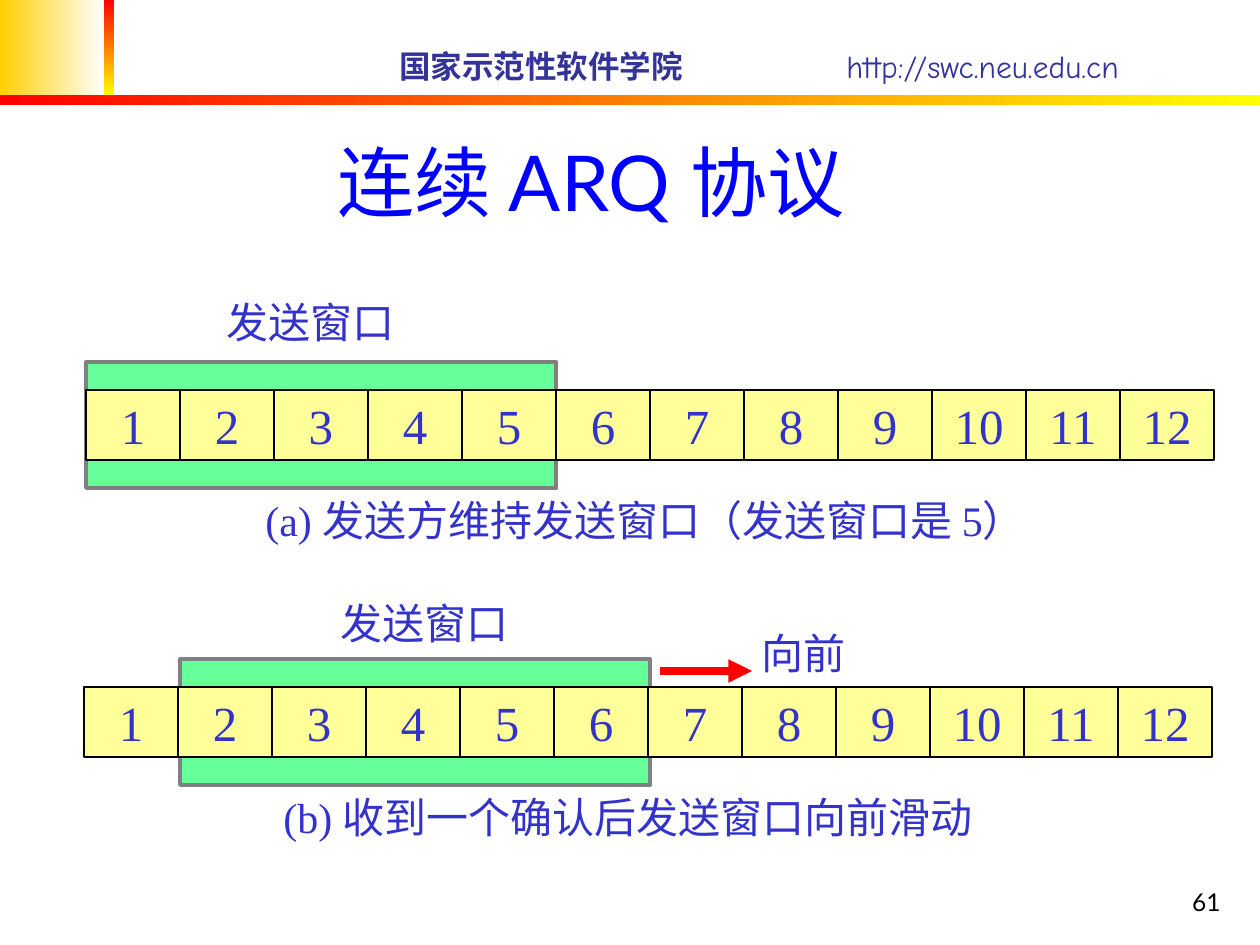
from lxml.etree import SubElement
from pptx import Presentation
from pptx.dml.color import RGBColor
from pptx.enum.shapes import MSO_CONNECTOR, MSO_SHAPE
from pptx.enum.text import MSO_ANCHOR, MSO_AUTO_SIZE, PP_ALIGN
from pptx.oxml.ns import qn
from pptx.util import Emu, Pt

LEFT, MID, RIGHT = PP_ALIGN.LEFT, PP_ALIGN.CENTER, PP_ALIGN.RIGHT
TOP, CENTER, LOW = MSO_ANCHOR.TOP, MSO_ANCHOR.MIDDLE, MSO_ANCHOR.BOTTOM


def px(n):
    return Emu(round(n * 914400 / 126))


def tint(code):
    return RGBColor.from_string(code)


class Deck:
    serif, sans, comic = "Times New Roman", "Lato", "Comic Neue"
    ink, navy, blue, black = "3333CC", "333399", "0000FF", "000000"
    green, cream, gray, red = "66FF99", "FFFF99", "808080", "FF0000"
    gold, yellow, white = "FFCF01", "FFFF00", "FFFFFF"
    cell, high, rise, count = 94, 70, 28, 12

    def __init__(self):
        self.file = Presentation()
        self.file.slide_width, self.file.slide_height = px(1260), px(945)
        self.slide = self.file.slides.add_slide(self.file.slide_layouts[6])

    def rect(self, x, y, w, h):
        shape = self.slide.shapes.add_shape(
            MSO_SHAPE.RECTANGLE, px(x), px(y), px(w), px(h))
        shape.shadow.inherit = False
        return shape

    def box(self, x, y, w, h, fill, edge, width):
        shape = self.rect(x, y, w, h)
        shape.fill.solid()
        shape.fill.fore_color.rgb = tint(fill)
        shape.line.color.rgb = tint(edge)
        shape.line.width = Pt(width)

    def fade(self, x, y, w, h, start, end, angle=0):
        shape = self.rect(x, y, w, h)
        shape.line.fill.background()
        shape.fill.gradient()
        shape.fill.gradient_angle = angle
        for stop, code in zip(shape.fill.gradient_stops, (start, end)):
            stop.color.rgb = tint(code)

    def text(self, x, y, w, h, words, size, font=serif, color=ink,
             align=LEFT, anchor=TOP, wrap=False, grow=False):
        frame = self.slide.shapes.add_textbox(
            px(x), px(y), px(w), px(h)).text_frame
        frame.word_wrap = wrap
        frame.vertical_anchor = anchor
        if grow:
            frame.auto_size = MSO_AUTO_SIZE.SHAPE_TO_FIT_TEXT
        para = frame.paragraphs[0]
        para.text = words
        para.alignment = align
        para.font.size = Pt(size)
        para.font.name = font
        para.font.color.rgb = tint(color)
        return para

    def label(self, x, y, w, words):
        self.text(x, y, w, 63, words, 24, grow=True)

    def line(self, x, y, end, base, color, width):
        line = self.slide.shapes.add_connector(
            MSO_CONNECTOR.STRAIGHT, px(x), px(y), px(end), px(base))
        line.line.color.rgb = tint(color)
        line.line.width = Pt(width)
        SubElement(line._element.spPr, qn("a:effectLst"))
        return line

    def arrow(self, x, y, end):
        line = self.line(x, y, end, y, self.red, 4.5)
        SubElement(line.line._get_or_add_ln(), qn("a:tailEnd"), type="triangle")

    def header(self):
        self.fade(0, 0, 105, 96, self.gold, self.white)
        self.fade(104, 0, 10, 96, self.red, self.yellow, 270)
        self.fade(0, 95, 1260, 10, self.red, self.yellow)
        para = self.text(387, 41, 844, 50, "", 18, self.comic, self.navy,
                         anchor=CENTER, wrap=True)
        tabs = SubElement(para._p.get_or_add_pPr(), qn("a:tabLst"))
        SubElement(tabs, qn("a:tab"), pos=str(px(447)), algn="l")
        para._p.pPr.insert(0, tabs)
        name = para.add_run()
        name.text = "国家示范性软件学院"
        name.font.bold = True
        para.add_run().text = "\thttp://swc.neu.edu.cn"

    def row(self, x, y, start):
        self.box(start, y - self.rise, 5 * self.cell, self.high + 2 * self.rise,
                 self.green, self.gray, 2.25)
        self.box(x, y, self.count * self.cell, self.high,
                 self.cream, self.black, 0.75)
        for i in range(self.count):
            left = x + i * self.cell
            self.text(left, y, self.cell, self.high, str(i + 1), 28,
                      align=MID, anchor=CENTER)
            if i:
                self.line(left, y, left, y + self.high, self.black, 0.75)


def main():
    deck = Deck()
    deck.header()
    deck.text(22, 31, 1138, 202, "连续 ARQ 协议", 44, deck.sans, deck.blue,
              MID, LOW, True)
    deck.row(86, 390, 86)
    deck.label(253, 488, 827, "(a) 发送方维持发送窗口（发送窗口是 5）")
    deck.label(214, 290, 200, "发送窗口")
    deck.row(84, 687, 180)
    deck.label(271, 785, 725, "(b) 收到一个确认后发送窗口向前滑动")
    deck.arrow(660, 671, 752)
    deck.label(749, 621, 120, "向前")
    deck.label(328, 591, 200, "发送窗口")
    deck.text(971, 860, 262, 63, "61", 14, deck.sans, deck.black,
              RIGHT, LOW, True)
    deck.file.save("out.pptx")


if __name__ == "__main__":
    main()
